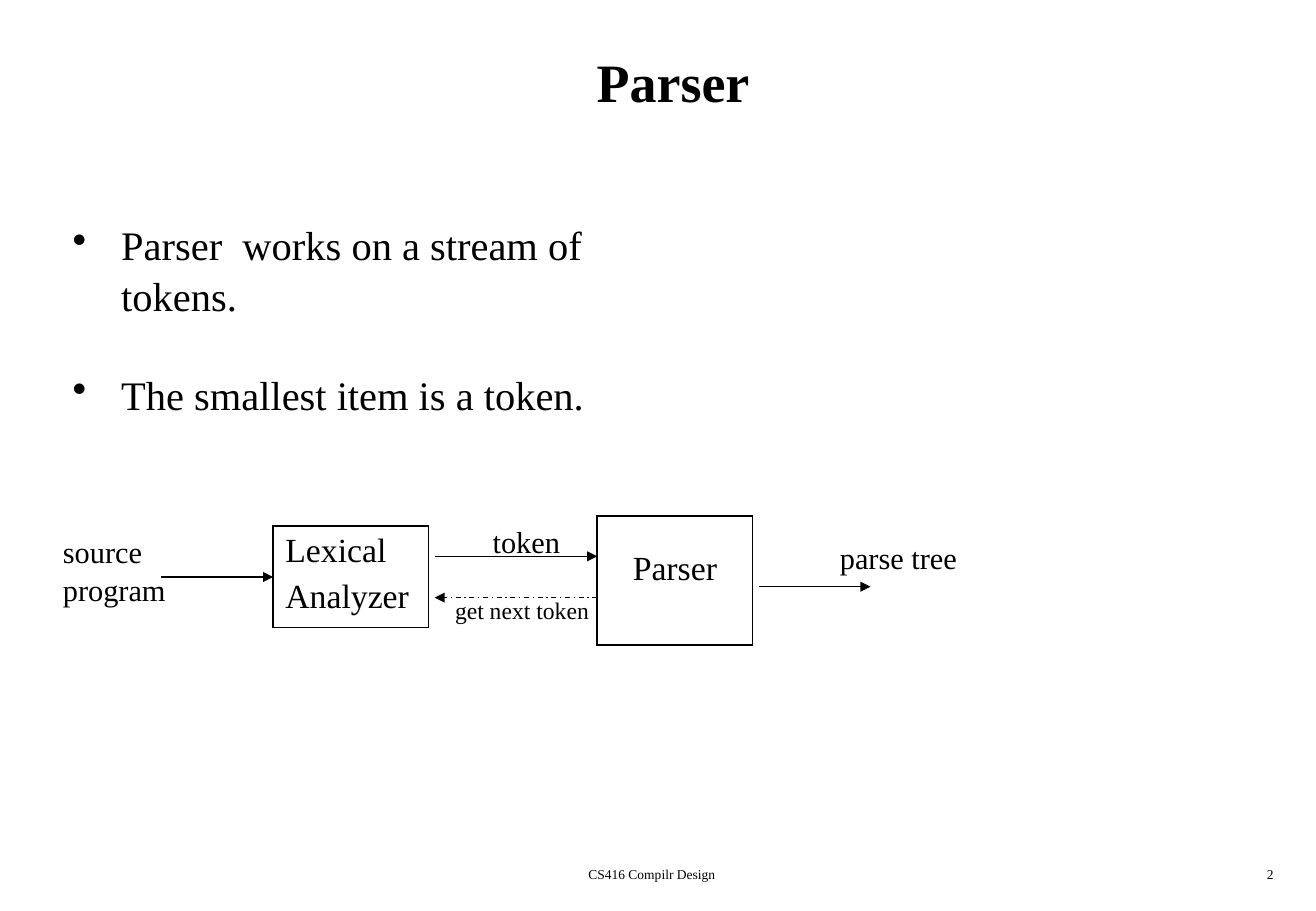
from dataclasses import dataclass

from lxml.etree import SubElement as Sub
from pptx import Presentation
from pptx.dml.color import RGBColor as RGB
from pptx.enum.dml import MSO_LINE as Dash
from pptx.enum.shapes import MSO_CONNECTOR as Conn
from pptx.enum.text import MSO_ANCHOR as Anchor, PP_ALIGN as Align
from pptx.oxml.ns import qn
from pptx.util import Inches, Pt


@dataclass(frozen=True)
class Theme:
    font: str = "Times New Roman"
    ink: RGB = RGB(0, 0, 0)
    head: int = 32
    body: int = 24
    node: int = 20
    label: int = 18
    small: int = 14
    foot: int = 8
    rule: float = 0.75
    edge: float = 1.08


class Board:
    def __init__(self, slide, theme):
        self.slide = slide
        self.theme = theme

    def fill(self, frame, text, size, align=Align.LEFT, bold=False, gap=0, lead=None):
        """Set a frame's text; gap is the space before every paragraph but the first."""
        frame.text = text
        for num, para in enumerate(frame.paragraphs):
            para.alignment = align
            para.space_before = Pt(gap if num else 0)
            para.line_spacing = lead
            for run in para.runs:
                font = run.font
                font.name, font.size, font.bold = self.theme.font, Pt(size), bold
                font.color.rgb = self.theme.ink

    def title(self, text, box):
        shape = self.slide.shapes.title
        shape.left, shape.top, shape.width, shape.height = map(Inches, box)
        shape.text_frame.vertical_anchor = Anchor.MIDDLE
        self.fill(shape.text_frame, text, self.theme.head, Align.CENTER, bold=True)

    def text(self, text, box, size, **style):
        frame = self.slide.shapes.add_textbox(*map(Inches, box)).text_frame
        frame.word_wrap = True
        self.fill(frame, text, size, **style)
        return frame

    def bullets(self, items, box, indent, gap):
        frame = self.text("\n".join(items), box, self.theme.body, gap=gap, lead=1.04)
        for para in frame.paragraphs:
            props = para._p.get_or_add_pPr()
            props.set("marL", str(Inches(indent)))
            props.set("indent", str(-Inches(indent)))
            Sub(props, qn("a:buChar"), char="•")

    def node(self, text, box, top=0.05, align=Align.LEFT):
        """Draw a one-cell table with a thin border."""
        table = self.slide.shapes.add_table(1, 1, *map(Inches, box)).table
        table.first_row = table.horz_banding = False
        cell = table.cell(0, 0)
        cell.margin_top = Inches(top)
        self.fill(cell.text_frame, text, self.theme.node, align, gap=5)
        props = cell._tc.get_or_add_tcPr()
        for side in ("lnL", "lnR", "lnT", "lnB"):
            line = Sub(props, qn(f"a:{side}"), w=str(Pt(self.theme.edge)))
            paint = Sub(line, qn("a:solidFill"))
            Sub(paint, qn("a:srgbClr"), val=str(self.theme.ink))
        cell.fill.background()

    def arrow(self, start, end, y, dash=None):
        ends = map(Inches, (start, y, end, y))
        link = self.slide.shapes.add_connector(Conn.STRAIGHT, *ends)
        link.line.color.rgb = self.theme.ink
        link.line.width = Pt(self.theme.rule)
        if dash:
            link.line.dash_style = dash
        Sub(link.line._get_or_add_ln(), qn("a:tailEnd"), type="triangle")
        Sub(link._element.spPr, qn("a:effectLst"))


def main():
    deck = Presentation()
    deck.slide_width, deck.slide_height = Inches(10.84), Inches(7.5)
    theme = Theme()
    board = Board(deck.slides.add_slide(deck.slide_layouts[5]), theme)

    board.title("Parser", (0.42, 0.17, 10.25, 1))
    board.bullets(
        ("Parser  works on a stream of tokens.", "The smallest item is a token."),
        (0.5, 1.75, 5.31, 1.3), indent=0.4, gap=28.8)

    board.node("Lexical\nAnalyzer", (2.25, 4.33, 1.28, 0.83))
    board.node("Parser", (4.92, 4.25, 1.28, 1.06), top=0.28, align=Align.CENTER)

    for start, end, y, dash in (
            (1.33, 2.25, 4.75, None),
            (3.58, 4.92, 4.58, None),
            (4.92, 3.58, 4.92, Dash.DASH_DOT),
            (6.25, 7.17, 4.83, None)):
        board.arrow(start, end, y, dash)

    for text, box, size in (
            ("source\nprogram", (0.42, 4.33, 1.1, 0.7), theme.label),
            ("token", (3.96, 4.25, 0.85, 0.4), theme.label),
            ("get next token", (3.65, 4.85, 1.4, 0.34), theme.small),
            ("parse tree", (6.82, 4.38, 1.3, 0.4), theme.label)):
        board.text(text, box, size, lead=1.04)

    board.text("CS416 Compilr Design", (3.34, 7.08, 4.06, 0.25), theme.foot,
               align=Align.CENTER)
    board.text("2", (8.33, 7.08, 2.26, 0.25), theme.foot, align=Align.RIGHT)
    deck.save("out.pptx")


if __name__ == "__main__":
    main()
